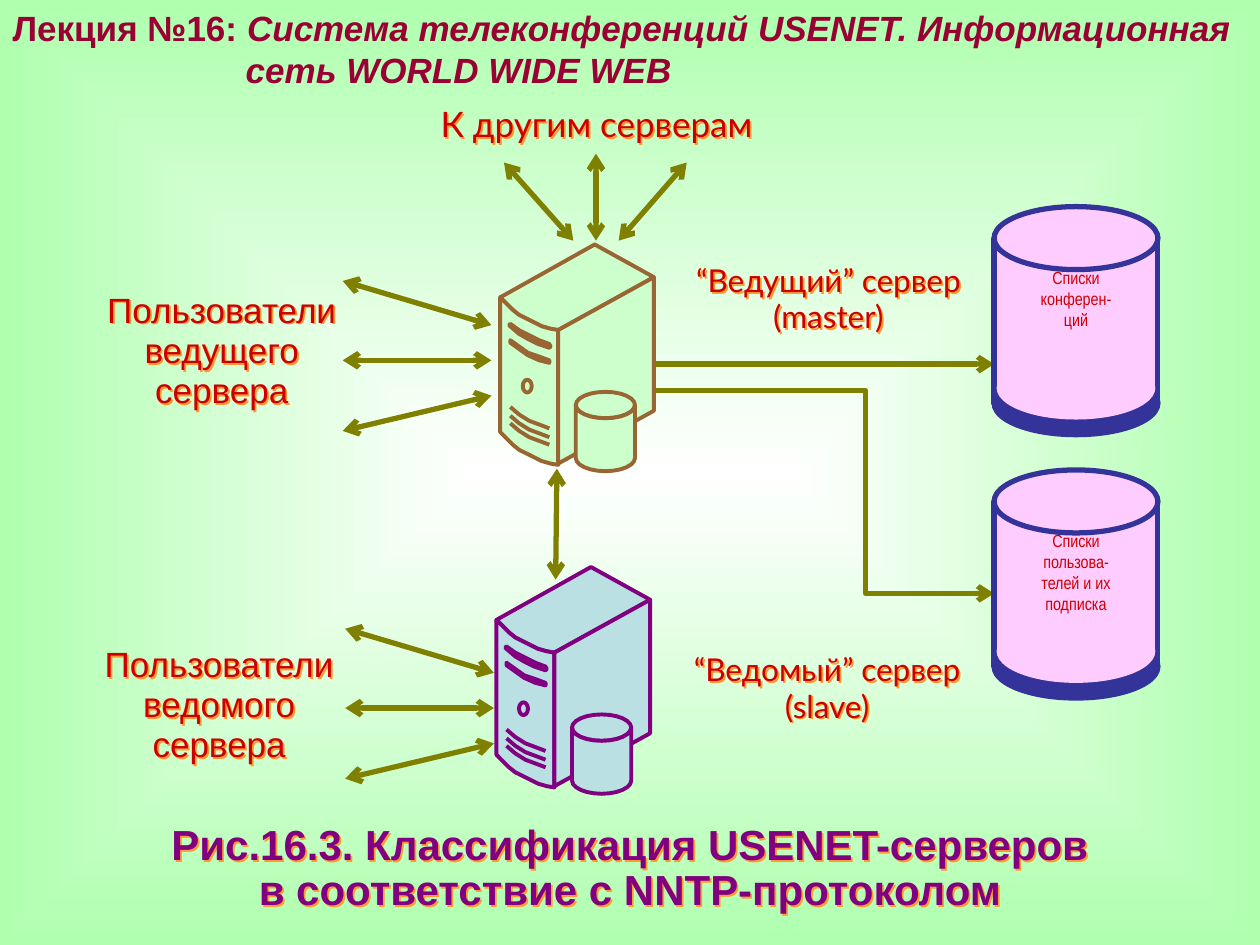
from math import cos, sin, radians
from pptx import Presentation
from pptx.dml.color import RGBColor
from pptx.enum.shapes import MSO_CONNECTOR as Link, MSO_SHAPE as Kind
from pptx.enum.text import MSO_ANCHOR as Anchor, PP_ALIGN as Align
from pptx.oxml import parse_xml
from pptx.oxml.ns import nsdecls
from pptx.util import Inches, Pt

OLIVE = RGBColor(0x80, 0x80, 0x00)
RED = RGBColor(0xCC, 0x00, 0x00)
WINE = RGBColor(0x99, 0x00, 0x33)
PURPLE = RGBColor(0x80, 0x00, 0x80)
BROWN = RGBColor(0x99, 0x66, 0x33)
MINT = RGBColor(0xCC, 0xFF, 0xCC)
ICE = RGBColor(0xBB, 0xE0, 0xE3)
PINK = RGBColor(0xFF, 0xCC, 0xFF)
NAVY = RGBColor(0x33, 0x33, 0x99)

NS = nsdecls("a")
GLOW = (f'<a:effectLst {NS}><a:outerShdw dist="17961" dir="2700000">'
        '<a:srgbClr val="FF9933"/></a:outerShdw></a:effectLst>')

prs = Presentation()
prs.slide_width, prs.slide_height = Inches(10), Inches(7.5)
slide = prs.slides.add_slide(prs.slide_layouts[5])
shapes = slide.shapes


def paint(shape, fill, line, width):
    shape.shadow.inherit = False
    if fill is None:
        shape.fill.background()
    else:
        shape.fill.solid()
        shape.fill.fore_color.rgb = fill
    if line is None:
        shape.line.fill.background()
    else:
        shape.line.color.rgb = line
        shape.line.width = Pt(width)


def trace(points, dx=0, dy=0):
    spots = [(Inches(x + dx), Inches(y + dy)) for x, y in points]
    pen = shapes.build_freeform(*spots[0], scale=1.0)
    pen.add_line_segments(spots[1:], close=points[0] == points[-1])
    return pen.convert_to_shape()


# Background: white centre fading to green
slide.element.cSld.insert(0, parse_xml(
    f'<p:bg {nsdecls("p", "a")}><p:bgPr><a:gradFill rotWithShape="0"><a:gsLst>'
    '<a:gs pos="0"><a:srgbClr val="FFFFFF"/></a:gs>'
    '<a:gs pos="100000"><a:srgbClr val="AFFFAF"/></a:gs></a:gsLst>'
    '<a:path path="shape"><a:fillToRect l="50000" t="50000" r="50000" b="50000"/></a:path>'
    '</a:gradFill><a:effectLst/></p:bgPr></p:bg>'))

# Lecture title
title = shapes.title
title.left, title.top, title.width, title.height = 0, 0, Inches(10), Inches(0.77)
frame = title.text_frame
frame.word_wrap = True
frame.vertical_anchor = Anchor.TOP
first = frame.paragraphs[0]
first.add_run().text = "Лекция №16: "
topic = first.add_run()
topic.text = "Система телеконференций USENET. Информационная"
topic.font.italic = True
second = frame.add_paragraph()
second.text = "сеть WORLD WIDE WEB"
second.font.italic = True
second._p.get_or_add_pPr().set("marL", str(Inches(1.85)))
for para in frame.paragraphs:
    para.alignment = Align.LEFT
    para.font.name = "Arial"
    para.font.size = Pt(20)
    para.font.bold = True
    para.font.color.rgb = WINE

# Arrows: x1, y1, x2, y2, heads at both ends
arrows = [
    (4.42, 3.72, 4.41, 4.6, True),
    (4.73, 1.91, 4.73, 1.22, True),
    (4.91, 1.91, 5.45, 1.29, True),
    (4.55, 1.91, 4, 1.29, True),
    (5.17, 2.89, 7.89, 2.89, False),
]
for x, y in [(2.72, 2.86), (2.74, 5.62)]:
    for far, near in [(-0.63, -0.28), (0, 0), (0.56, 0.28)]:
        arrows.append((x, y + far, x + 1.18, y + near, True))
wires = []
for x1, y1, x2, y2, both in arrows:
    wire = shapes.add_connector(Link.STRAIGHT, Inches(x1), Inches(y1), Inches(x2), Inches(y2))
    wire.line.color.rgb = OLIVE
    wire.line.width = Pt(3)
    wire._element.spPr.append(parse_xml(f"<a:effectLst {NS}/>"))
    wires.append((wire, both))
elbow = trace([(5.19, 3.1), (6.87, 3.1), (6.87, 4.71), (7.89, 4.71)])
paint(elbow, None, OLIVE, 3)
wires.append((elbow, False))
for wire, both in wires:
    ends = ["headEnd", "tailEnd"] if both else ["tailEnd"]
    for end in ends:
        wire.line._get_or_add_ln().append(parse_xml(f'<a:{end} {NS} type="arrow"/>'))

# Server outlines, placed for the lower server
edge = [(3.94, 4.92), (3.99, 4.97), (4.04, 5.02), (4.09, 5.06), (4.15, 5.09),
        (4.21, 5.12), (4.27, 5.15), (4.34, 5.17), (4.4, 5.18)]
base = [(x, y + 1.07) for x, y in edge]
slot = [(4.02, 5.26), (4.09, 5.31), (4.16, 5.36), (4.25, 5.39), (4.33, 5.42),
        (4.33, 5.44), (4.25, 5.42), (4.16, 5.38), (4.09, 5.33), (4.02, 5.28), (4.02, 5.26)]
slit = [(4.02, 5.13), (4.09, 5.18), (4.17, 5.22), (4.25, 5.26), (4.33, 5.29), (4.34, 5.31),
        (4.33, 5.32), (4.24, 5.29), (4.16, 5.25), (4.09, 5.21), (4.02, 5.15), (4.01, 5.14),
        (4.02, 5.13)]
vent = [(4.02, 5.79), (4.09, 5.85), (4.17, 5.9), (4.25, 5.93), (4.33, 5.96)]
turns = [radians(a) for a in range(0, 361, 15)]
knob = [(4.155 + 0.035 * cos(a), 5.625 + 0.05 * sin(a)) for a in turns]
lid = [(4.775 + 0.235 * cos(a), 5.775 + 0.105 * sin(a)) for a in turns]
rim = lid[:13]
drum = rim + [(x, y + 0.42) for x, y in reversed(rim)] + rim[:1]
parts = [
    edge + [(4.4, 5.18), (5.16, 4.76), (4.69, 4.5), (3.94, 4.92)],
    edge + base[::-1] + edge[:1],
    [(4.4, 5.18), (4.4, 6.24), (5.16, 5.82), (5.16, 4.76), (4.4, 5.18)],
    knob, slit, slot,
    *[[(x, y + drop) for x, y in vent] for drop in (0, 0.07, 0.13)],
    lid[:-1] + lid[:1], drum,
]
for dx, dy, fill, line in [(0, 0, ICE, PURPLE), (0.03, -2.56, MINT, BROWN)]:
    pieces = [trace(part, dx, dy) for part in parts]
    for piece in pieces:
        paint(piece, fill, line, 2.25)
    shapes.add_group_shape(pieces)

# Data stores
stores = [(1.64, ["Списки", "конферен-", "ций"]),
          (3.73, ["Списки", "пользова-", "телей и их", "подписка"])]
for top, lines in stores:
    pieces = []
    for kind, x, y, w, h, fill, line in [
        (Kind.RECTANGLE, 7.89, 0.25, 1.3, 1.31, PINK, NAVY),
        (Kind.OVAL, 7.89, 0, 1.3, 0.5, PINK, NAVY),
        (Kind.OVAL, 7.89, 1.31, 1.3, 0.5, NAVY, NAVY),
        (Kind.OVAL, 7.91, 1.19, 1.26, 0.5, PINK, None),
    ]:
        piece = shapes.add_shape(kind, Inches(x), Inches(top + y), Inches(w), Inches(h))
        paint(piece, fill, line, 3)
        pieces.append(piece)
    box = shapes.add_textbox(Inches(7.89), Inches(top + 0.43), Inches(1.3), Inches(1.05))
    box.text_frame.word_wrap = False
    box.text_frame.text = "\n".join(lines)
    for para in box.text_frame.paragraphs:
        para.alignment = Align.CENTER
        para.font.name = "Arial Narrow"
        para.font.size = Pt(10)
        para.font.color.rgb = RED
    shapes.add_group_shape(pieces + [box])

# Labels and caption, with an orange text shadow
labels = [
    (3.1, 0.85, 3.27, 0.29, "К другим серверам", "Lato", 20, RED),
    (0.78, 2.31, 1.96, 0.96, "Пользователи ведущего сервера", "Arial", 20, RED),
    (0.76, 5.12, 1.96, 0.96, "Пользователи ведомого сервера", "Arial", 20, RED),
    (5.49, 2.09, 2.17, 0.58, "“Ведущий” сервер\n(master)", "Lato", 18, RED),
    (5.48, 5.18, 2.17, 0.58, "“Ведомый” сервер\n(slave)", "Lato", 18, RED),
    (0, 6.54, 10, 0.72, "Рис.16.3. Классификация USENET-серверов\n"
     "в соответствие с NNTP-протоколом", "Arial", 24, PURPLE),
]
for x, y, w, h, text, face, size, color in labels:
    box = shapes.add_textbox(Inches(x), Inches(y), Inches(w), Inches(h))
    box._element.spPr.append(parse_xml(GLOW))
    frame = box.text_frame
    frame.word_wrap = True
    frame.margin_left = frame.margin_right = frame.margin_top = frame.margin_bottom = 0
    frame.vertical_anchor = Anchor.MIDDLE
    frame.text = text
    for para in frame.paragraphs:
        para.alignment = Align.CENTER
        para.line_spacing = 0.9 if color == PURPLE else 0.96
        para.font.name = face
        para.font.size = Pt(size)
        para.font.bold = color == PURPLE
        para.font.color.rgb = color

prs.save("out.pptx")
